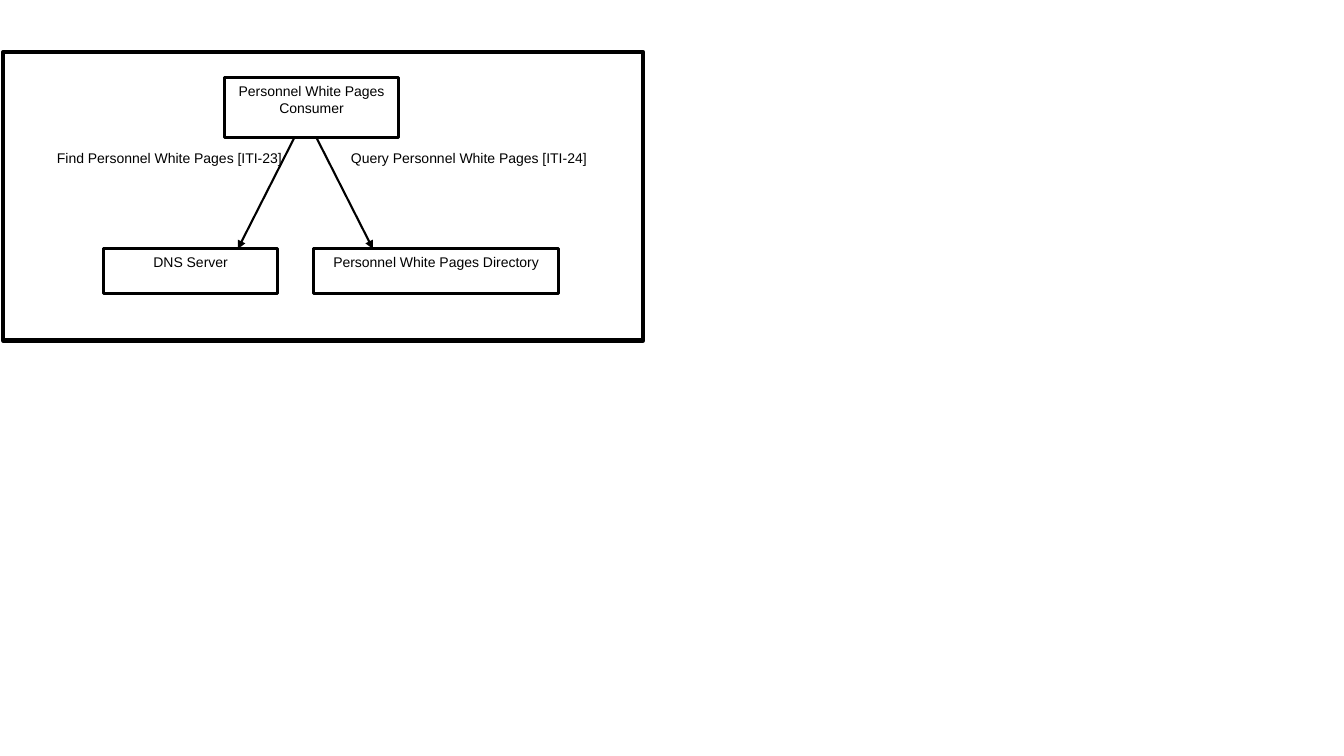
from pptx import Presentation
from pptx.dml.color import RGBColor as RGB
from pptx.enum.shapes import MSO_CONNECTOR as LINK, MSO_SHAPE as SHAPE
from pptx.enum.text import MSO_ANCHOR as ANCHOR, PP_ALIGN as ALIGN
from pptx.oxml import parse_xml
from pptx.oxml.ns import nsdecls
from pptx.util import Pt

theme = {
    "ink": RGB(0, 0, 0),
    "paper": RGB(255, 255, 255),
    "font": "Arial",
    "size": Pt(10),
    "frame": Pt(3),
    "box": Pt(2),
    "arrow": Pt(1.5),
}


def add_rect(place, width):
    rect = slide.shapes.add_shape(SHAPE.RECTANGLE, *map(Pt, place))
    rect.shadow.inherit = False
    rect.line.color.rgb = theme["ink"]
    rect.line.width = width
    return rect


def write(shape, text):
    frame = shape.text_frame
    frame.word_wrap = True
    frame.vertical_anchor = ANCHOR.TOP
    para = frame.paragraphs[0]
    para.text = text
    para.alignment = ALIGN.CENTER
    format = {"name": theme["font"], "size": theme["size"]}
    for key, value in format.items():
        setattr(para.font, key, value)
    para.font.color.rgb = theme["ink"]


deck = Presentation()
deck.slide_width, deck.slide_height = Pt(960), Pt(540)
slide = deck.slides.add_slide(deck.slide_layouts[6])

# Outer frame
add_rect((2.2, 37.4, 457.2, 205.9), theme["frame"]).fill.background()

# Arrows from the consumer to the two actors
for start, end in ((226.1, 266.4), (210.2, 169.9)):
    arrow = slide.shapes.add_connector(
        LINK.STRAIGHT, Pt(start), Pt(98.5), Pt(end), Pt(177.8))
    arrow.line.color.rgb = theme["ink"]
    arrow.line.width = theme["arrow"]
    arrow.line._get_or_add_ln().append(
        parse_xml(f'<a:tailEnd {nsdecls("a")} type="triangle"/>'))
    arrow._element.spPr.append(parse_xml(f'<a:effectLst {nsdecls("a")}/>'))

# Actor boxes
boxes = {
    "Personnel White Pages Directory": (223.9, 177.8, 175, 31.7),
    "DNS Server": (74.2, 177.8, 123.8, 31.7),
    "Personnel White Pages Consumer": (160.6, 55.6, 123.8, 42.7),
}
for text, place in boxes.items():
    box = add_rect(place, theme["box"])
    box.fill.solid()
    box.fill.fore_color.rgb = theme["paper"]
    write(box, text)

# Arrow labels
labels = {
    "Find Personnel White Pages [ITI-23]": (29.5, 103, 182.9, 31.7),
    "Query Personnel White Pages [ITI-24]": (238.3, 103, 193, 37.4),
}
for text, place in labels.items():
    write(slide.shapes.add_textbox(*map(Pt, place)), text)

deck.save("out.pptx")
